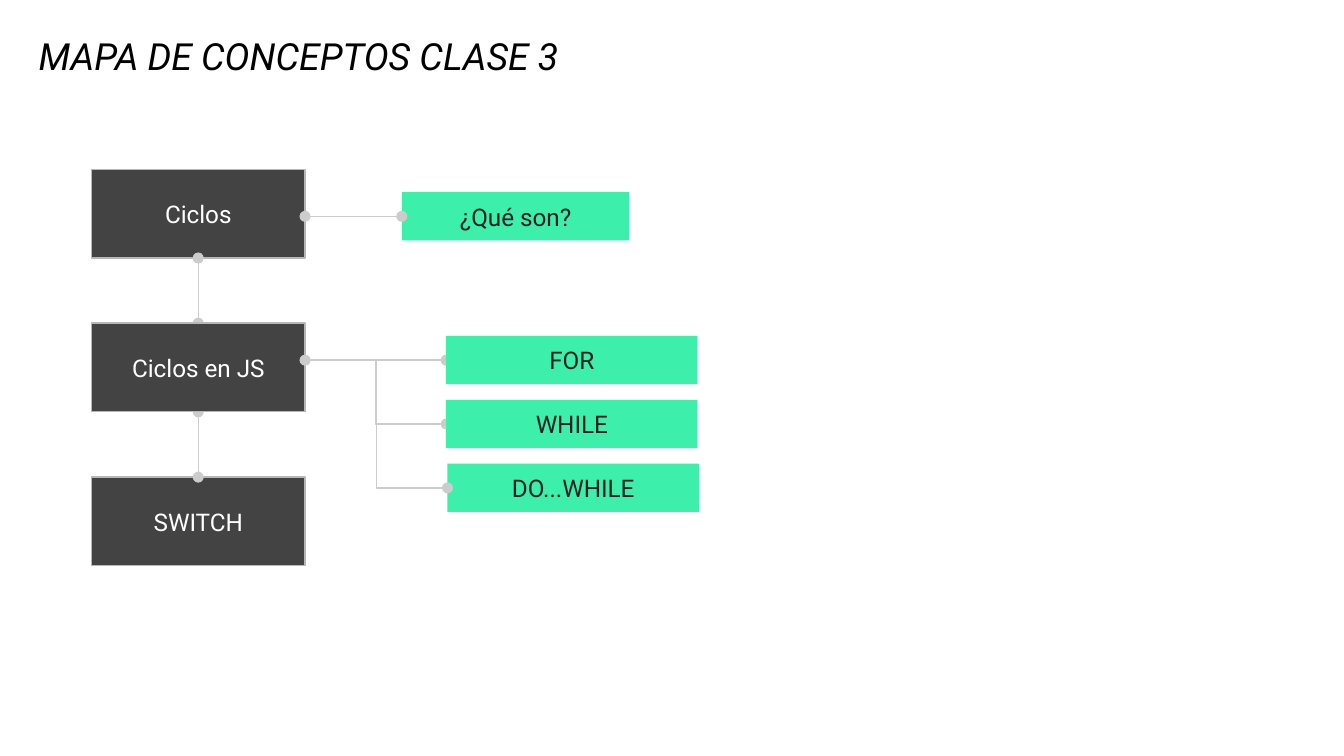
from lxml import etree
from pptx import Presentation
from pptx import util as u
from pptx.dml.color import RGBColor
from pptx.enum import shapes, text
from pptx.oxml.ns import qn

TITLE = "MAPA DE CONCEPTOS CLASE 3"
TOPICS = ["Ciclos", "Ciclos en JS", "SWITCH"]
QUESTION = "¿Qué son?"
LOOPS = ["FOR", "WHILE", "DO...WHILE"]

FONT = "Roboto"
COLORS = {
    "title": "000000",
    "topic": "434343",
    "topic_border": "B7B7B7",
    "topic_text": "FFFFFF",
    "detail": "3CEFAB",
    "detail_text": "222222",
    "link": "CCCCCC",
}

SLIDE_W = 10
SLIDE_H = SLIDE_W * 9 / 16
TOPIC_LEFT, TOPIC_W, TOPIC_H = 0.68, 1.59, 0.66
LOOP_LEFTS, LOOP_W, DETAIL_H = [3.32, 3.32, 3.33], 1.87, 0.36
QUESTION_LEFT, QUESTION_TOP, QUESTION_W = 2.99, 1.43, 1.69


def spread(first, last, count):
    return [first + i * (last - first) / (count - 1) for i in range(count)]


topic_tops = spread(1.26, 3.55, len(TOPICS))
loop_tops = spread(2.5, 3.45, len(LOOPS))
topic_right = TOPIC_LEFT + TOPIC_W
topic_middle = TOPIC_LEFT + TOPIC_W / 2
branch_y = loop_tops[0] + DETAIL_H / 2
question_y = QUESTION_TOP + DETAIL_H / 2

deck = Presentation()
deck.slide_width, deck.slide_height = u.Inches(SLIDE_W), u.Inches(SLIDE_H)
slide = deck.slides.add_slide(deck.slide_layouts[6])


def color(name):
    return RGBColor.from_string(COLORS[name])


def write(shape, words, size, color_name, anchor, align, italic=False):
    frame = shape.text_frame
    frame.word_wrap = True
    frame.vertical_anchor = anchor
    frame.margin_left = frame.margin_right = u.Inches(0.1)
    frame.margin_top = frame.margin_bottom = u.Inches(0.1)
    paragraph = frame.paragraphs[0]
    paragraph.text = words
    paragraph.alignment = align
    paragraph.font.name = FONT
    paragraph.font.size = u.Pt(size)
    paragraph.font.italic = italic
    paragraph.font.color.rgb = color(color_name)


def add_box(words, kind, left, top, width, height):
    box = slide.shapes.add_shape(
        shapes.MSO_SHAPE.RECTANGLE, *map(u.Inches, (left, top, width, height)))
    box.shadow.inherit = False
    box.fill.solid()
    box.fill.fore_color.rgb = color(kind)
    if kind == "topic":
        box.line.color.rgb = color("topic_border")
        box.line.width = u.Pt(0.75)
    else:
        box.line.fill.background()
    write(box, words, 13, kind + "_text",
          text.MSO_ANCHOR.MIDDLE, text.PP_ALIGN.CENTER)


def add_topic(i):
    add_box(TOPICS[i], "topic", TOPIC_LEFT, topic_tops[i], TOPIC_W, TOPIC_H)


def add_loop(i):
    add_box(LOOPS[i], "detail", LOOP_LEFTS[i], loop_tops[i], LOOP_W, DETAIL_H)


def add_link(x1, y1, x2, y2, bent=False):
    route = shapes.MSO_CONNECTOR.ELBOW if bent else shapes.MSO_CONNECTOR.STRAIGHT
    link = slide.shapes.add_connector(route, *map(u.Inches, (x1, y1, x2, y2)))
    link.line.color.rgb = color("link")
    link.line.width = u.Pt(0.75)
    line = link._element.spPr.find(qn("a:ln"))
    for end in ["tailEnd"] if bent else ["headEnd", "tailEnd"]:
        etree.SubElement(line, qn("a:" + end), type="oval")
    etree.SubElement(link._element.spPr, qn("a:effectLst"))


def link_topics(i):
    add_link(topic_middle, topic_tops[i] + TOPIC_H, topic_middle, topic_tops[i + 1])


def link_loop(i):
    add_link(topic_right, branch_y, LOOP_LEFTS[i], loop_tops[i] + DETAIL_H / 2,
             bent=i > 0)


title = slide.shapes.add_textbox(*map(u.Inches, (0.19, 0.22, 8.26, 0.46)))
write(title, TITLE, 20, "title", text.MSO_ANCHOR.BOTTOM, text.PP_ALIGN.LEFT, italic=True)

add_topic(0)
add_box(QUESTION, "detail", QUESTION_LEFT, QUESTION_TOP, QUESTION_W, DETAIL_H)
add_link(topic_right, question_y, QUESTION_LEFT, question_y)
link_topics(0)
add_topic(2)
link_topics(1)
add_topic(1)

add_loop(2)
for i in (0, 1):
    link_loop(i)
    add_loop(i)
link_loop(2)

deck.save("out.pptx")
